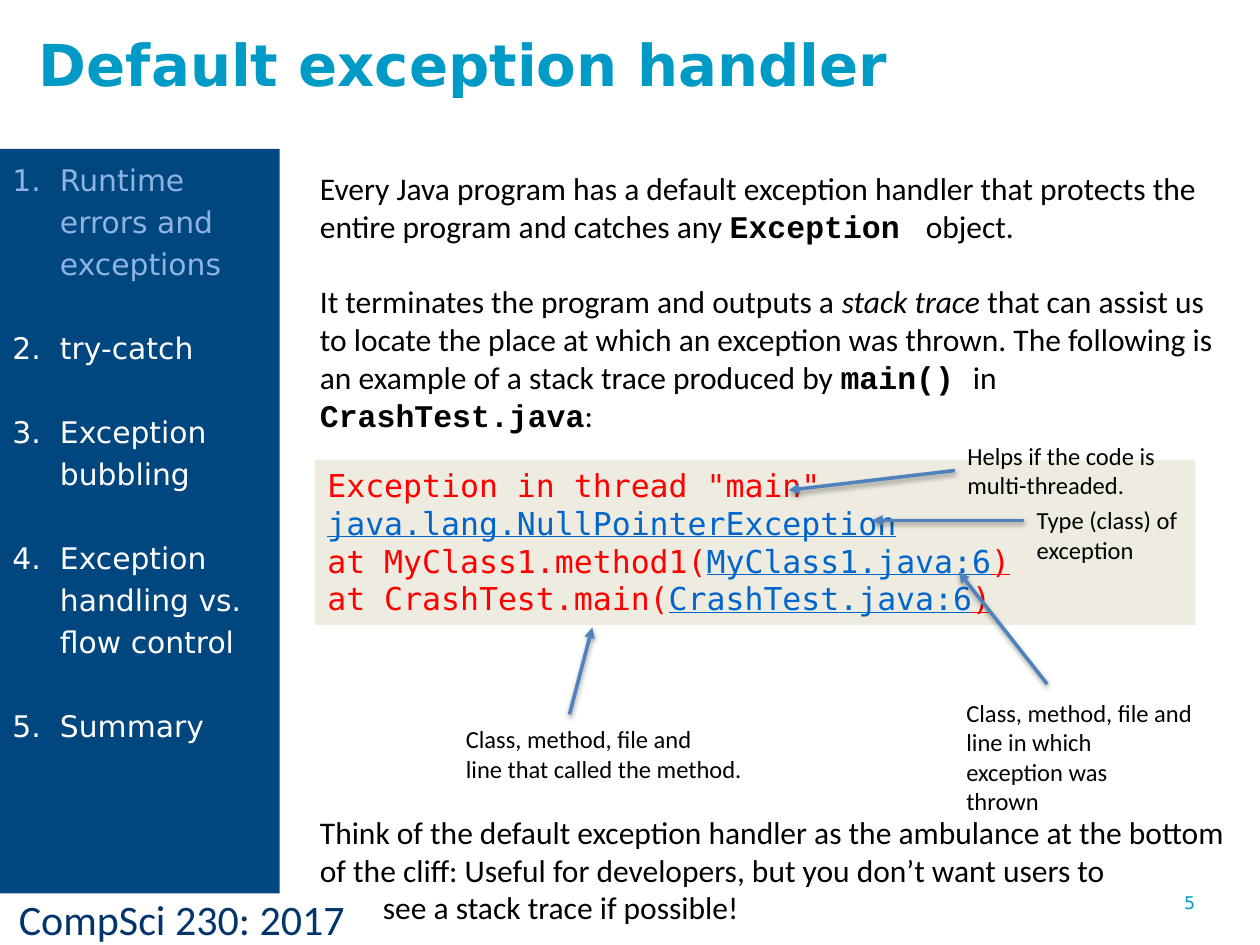
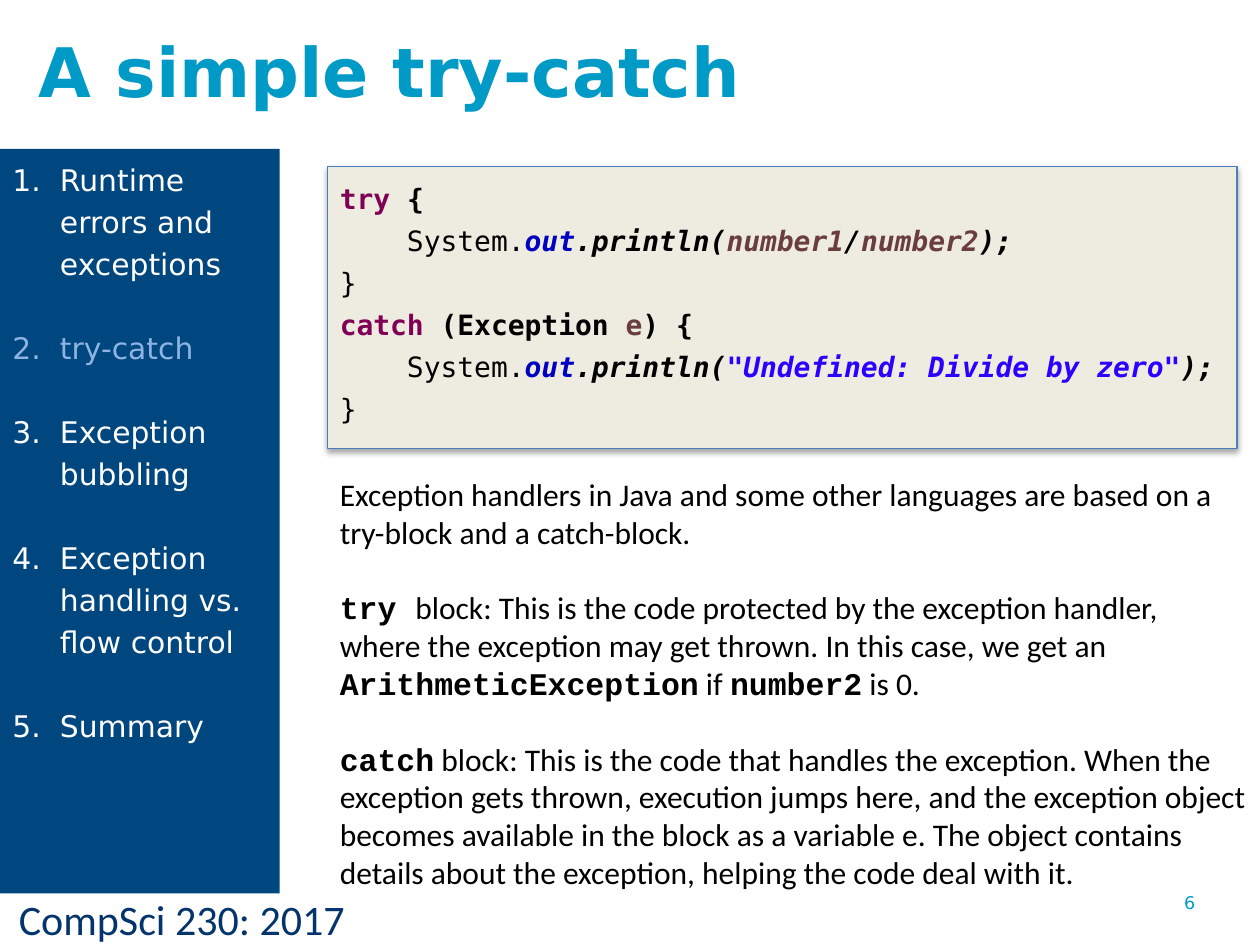
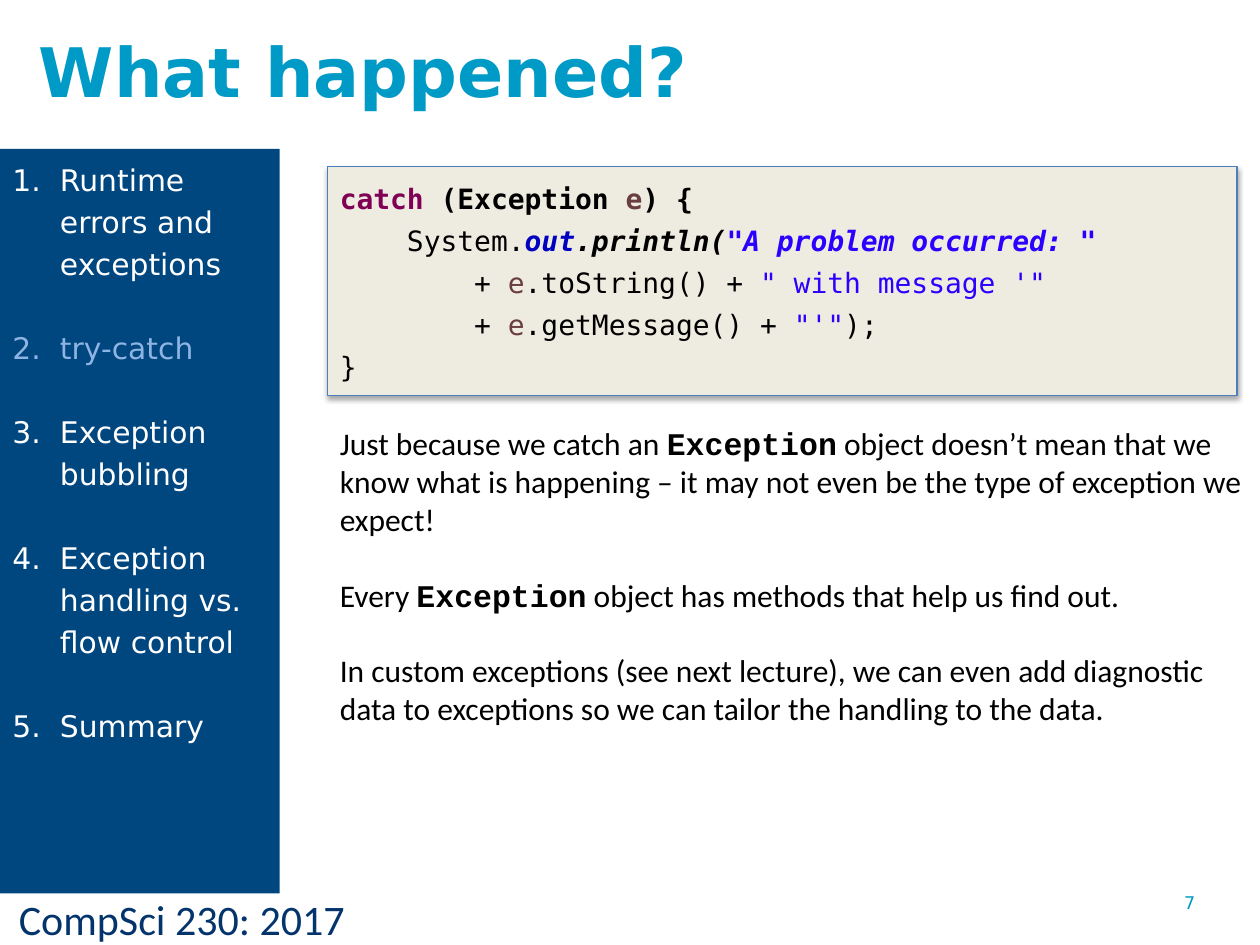
"""Build three lecture slides on Java exception handling."""
import pptx
import pptx.dml.color
import pptx.enum.dml
import pptx.enum.shapes
import pptx.enum.text
import pptx.oxml
import pptx.oxml.ns
import pptx.util
from lxml import etree

Cm = pptx.util.Cm
Pt = pptx.util.Pt

TOPICS = ["Runtime errors and exceptions", "try-catch", "Exception bubbling",
          "Exception handling vs. flow control", "Summary"]
FOOTER = "CompSci 230: 2017"
FIRST_NUMBER = 5

BLUE, NAVY, SKY, CREAM = "009AC7", "00467F", "8EB4E3", "EEECE1"
ARROW_BLUE, CODE_EDGE = "4F81BD", "4B7EBC"
CODE_FONT = "DejaVu Sans Mono"


def text_style(name, size, color, **values):
    return {"name": name, "size": Pt(size), "color": color, **values}


def code_style(color, **values):
    return text_style(CODE_FONT, 16, color, **values)


STYLES = {
    "title": text_style("DejaVu Sans", 39, BLUE, bold=True),
    "long title": text_style("DejaVu Sans", 33, BLUE, bold=True),
    "topic": text_style("DejaVu Sans", 17, "FFFFFF"),
    "current topic": text_style("DejaVu Sans", 17, SKY),
    "footer": text_style("Calibri", 24, "04346C"),
    "number": text_style("DejaVu Sans", 10, BLUE),
    "body": text_style("Calibri", 18, "000000"),
    "italic": text_style("Calibri", 18, "000000", italic=True),
    "term": text_style("Courier New", 18, "000000", bold=True),
    "label": text_style("Calibri", 14, "000000"),
    "error": text_style(CODE_FONT, 18, "FF0000"),
    "error end": text_style(CODE_FONT, 18, "FF0000", underline=True),
    "location": text_style(CODE_FONT, 18, "0066CC", underline=True),
    "code": code_style("000000"),
    "variable": code_style("6A3E3E"),
    "string": code_style("2A00FF"),
    "keyword": code_style("7F0055", bold=True),
    "bold code": code_style("000000", bold=True),
    "bold variable": code_style("6A3E3E", bold=True),
    "field": code_style("0000C0", bold=True, italic=True),
    "call": code_style("000000", bold=True, italic=True),
    "call variable": code_style("6A3E3E", bold=True, italic=True),
    "call string": code_style("2A00FF", bold=True, italic=True),
}

PRINT = [("code", "    System."), ("field", "out"), ("call", ".println(")]
CATCH = [("keyword", "catch"), ("bold code", " (Exception "),
         ("bold variable", "e"), ("bold code", ") {")]
CLOSE = [("code", "}")]

SLIDES = [
    {
        "title": ("long title", "Default exception handler"),
        "topic": 0,
        "body_at": (6.2, 3.28, 18.77, 7),
        "body": [
            [("body", "Every Java program has a default exception handler that protects "
                      "the entire program and catches any "),
             ("term", "Exception "), ("body", " object.")],
            [("body", "It terminates the program and outputs a "), ("italic", "stack trace "),
             ("body", "that can assist us to locate the place at which an exception was "
                      "thrown. The following is an example of a stack trace produced by "),
             ("term", "main() "), ("body", "in "), ("term", "CrashTest.java"), ("body", ":")],
        ],
        "trace_at": (6.35, 9.27, 17.75, 3.33),
        "trace": [
            [("error", "Exception in thread \"main\" "),
             ("location", "java.lang.NullPointerException")],
            [("error", "at MyClass1.method1("), ("location", "MyClass1.java:6"),
             ("error end", ")")],
            [("error", "at CrashTest.main("), ("location", "CrashTest.java:6"),
             ("error end", ")")],
        ],
        "labels": [
            ("Helps if the code is \nmulti-threaded.", (19.25, 8.76, 4.45, 1.45),
             None, (15.9, 9.88)),
            ("Type (class) of \nexception", (20.65, 10.06, 3.48, 1.45),
             (20.65, 10.49), (17.58, 10.49)),
            ("Class, method, file and\nline in which \nexception was \nthrown",
             (19.23, 13.94, 5.11, 2.64), (21.11, 13.79), (19.33, 11.53)),
            ("Class, method, file and\nline that called the method.",
             (9.14, 14.48, 6.15, 1.45), (11.48, 14.4), (11.94, 12.65)),
        ],
        "closing_at": (6.2, 16.26, 18.77, 2.6),
        "closing": [[("body", "Think of the default exception handler as the ambulance at the "
                              "bottom of the cliff: Useful for developers, but you don’t want "
                              "users to\n\tsee a stack trace if possible!")]],
    },
    {
        "title": ("title", "A simple try-catch"),
        "topic": 1,
        "code_height": 5.69,
        "code": [
            [("keyword", "try "), ("bold code", "{")],
            PRINT + [("call variable", "number1"), ("call", "/"),
                     ("call variable", "number2"), ("call", ");")],
            CLOSE,
            CATCH,
            PRINT + [("call string", "\"Undefined: Divide by zero\""), ("call", ");")],
            CLOSE,
        ],
        "body_at": (6.6, 9.45, 18.77, 9.5),
        "body": [
            [("body", "Exception handlers in Java and some other languages are based on a "
                      "try-block and a catch-block.")],
            [("term", "try "),
             ("body", "block: This is the code protected by the exception handler, where the "
                      "exception may get thrown. In this case, we get an "),
             ("term", "ArithmeticException"), ("body", " if "), ("term", "number2"),
             ("body", " is 0.")],
            [("term", "catch"),
             ("body", " block: This is the code that handles the exception. When the exception "
                      "gets thrown, execution jumps here, and the exception object becomes "
                      "available in the block as a variable e. The object contains details "
                      "about the exception, helping the code deal with it.")],
        ],
    },
    {
        "title": ("title", "What happened?"),
        "topic": 1,
        "code_height": 4.62,
        "code": [
            CATCH,
            PRINT + [("call string", "\"A problem occurred: \"")],
            [("code", "        + "), ("variable", "e"), ("code", ".toString() + "),
             ("string", "\" with message '\"")],
            [("code", "        + "), ("variable", "e"), ("code", ".getMessage() + "),
             ("string", "\"'\""), ("code", ");")],
            CLOSE,
        ],
        "body_at": (6.6, 8.43, 18.77, 6.4),
        "body": [
            [("body", "Just because we catch an "), ("term", "Exception"),
             ("body", " object doesn’t mean that we know what is happening – it may not even "
                      "be the type of exception we expect!")],
            [("body", "Every "), ("term", "Exception"),
             ("body", " object has methods that help us find out.")],
            [("body", "In custom exceptions (see next lecture), we can even add diagnostic "
                      "data to exceptions so we can tailor the handling to the data.")],
        ],
    },
]


def rgb(color):
    return pptx.dml.color.RGBColor.from_string(color)


def lengths(values):
    return [Cm(value) for value in values]


def set_values(target, values):
    for name, value in values.items():
        setattr(target, name, value)


def add_run(paragraph, style, text):
    values = dict(STYLES[style])
    color = values.pop("color")
    for index, line in enumerate(text.split("\n")):
        if index:
            paragraph.add_line_break()
        run = paragraph.add_run()
        run.text = line
        set_values(run.font, values)
        run.font.color.rgb = rgb(color)


def write(shape, paragraphs, wrap=True, **paragraph_format):
    frame = shape.text_frame
    sizes = pptx.enum.text.MSO_AUTO_SIZE
    set_values(frame, {"word_wrap": wrap,
                       "auto_size": sizes.NONE if wrap else sizes.SHAPE_TO_FIT_TEXT,
                       "vertical_anchor": pptx.enum.text.MSO_ANCHOR.TOP})
    for index, runs in enumerate(paragraphs):
        paragraph = frame.add_paragraph() if index else frame.paragraphs[0]
        set_values(paragraph, {"alignment": pptx.enum.text.PP_ALIGN.LEFT, **paragraph_format})
        for style, text in runs:
            add_run(paragraph, style, text)


def add_text(slide, place, paragraphs, wrap=True, **paragraph_format):
    shape = slide.shapes.add_textbox(*lengths(place))
    write(shape, paragraphs, wrap, **paragraph_format)
    return shape


def add_panel(slide, place, color, paragraphs, edge=None, **paragraph_format):
    shape = slide.shapes.add_shape(pptx.enum.shapes.MSO_SHAPE.RECTANGLE, *lengths(place))
    shape.fill.solid()
    shape.fill.fore_color.rgb = rgb(color)
    if edge:
        shape.line.color.rgb = rgb(edge)
        shape.line.width = Pt(0.75)
        add_shadow(shape, 35, 1.8)
    else:
        shape.line.fill.background()
        shape.shadow.inherit = False
    write(shape, paragraphs, **paragraph_format)
    return shape


def add_shadow(shape, opacity, distance):
    effects = pptx.oxml.parse_xml(
        f'<a:effectLst {pptx.oxml.ns.nsdecls("a")}>'
        f'<a:outerShdw blurRad="{Pt(3.1)}" dist="{Pt(distance)}" dir="5400000" rotWithShape="0">'
        f'<a:srgbClr val="000000"><a:alpha val="{opacity * 1000}"/></a:srgbClr>'
        '</a:outerShdw></a:effectLst>')
    shape.element.spPr.append(effects)


def add_label(slide, text, place, start, target):
    label = add_text(slide, place, [[("label", text)]], wrap=False)
    arrow = slide.shapes.add_connector(pptx.enum.shapes.MSO_CONNECTOR.STRAIGHT,
                                       *lengths((start or place[:2]) + target))
    if start is None:
        arrow.begin_connect(label, 1)
    arrow.line.color.rgb = rgb(ARROW_BLUE)
    arrow.line.width = Pt(2)
    etree.SubElement(arrow.line._get_or_add_ln(), pptx.oxml.ns.qn("a:tailEnd"), type="triangle")
    add_shadow(arrow, 38, 1.6)


def add_sidebar(slide, current):
    topics = [[("current topic" if index == current else "topic", topic)]
              for index, topic in enumerate(TOPICS)]
    sidebar = add_panel(slide, (0, 3, 5.64, 15.01), NAVY, topics,
                        line_spacing=Pt(24), space_after=Pt(24))
    for paragraph in sidebar.text_frame.paragraphs:
        properties = paragraph._p.get_or_add_pPr()
        properties.set("marL", str(Cm(0.96)))
        properties.set("indent", str(-Cm(0.96)))
        etree.SubElement(properties, pptx.oxml.ns.qn("a:buAutoNum"), type="arabicPeriod")


def add_title(slide, title):
    left, top, width, height = lengths((0.53, 0.46, 18.11, 1.98))
    set_values(slide.shapes.title, {"left": left, "top": top, "width": width, "height": height})
    write(slide.shapes.title, [[title]])


def add_slide(presentation, number, content):
    slide = presentation.slides.add_slide(presentation.slide_layouts[5])
    add_title(slide, content["title"])
    add_text(slide, (0.13, 17.88, 10.29, 1.17), [[("footer", FOOTER)]])
    add_text(slide, (23.62, 17.86, 1.78, 1.19), [[("number", str(number))]])
    add_text(slide, content["body_at"], content["body"], space_after=Pt(21.6))
    if "code" in content:
        add_panel(slide, (6.6, 3.36, 18.34, content["code_height"]), CREAM, content["code"],
                  edge=CODE_EDGE, line_spacing=Pt(24))
    if "trace" in content:
        add_panel(slide, content["trace_at"], CREAM, content["trace"])
        add_text(slide, content["closing_at"], content["closing"])
    for label in content.get("labels", []):
        add_label(slide, *label)
    add_sidebar(slide, content["topic"])


def main():
    presentation = pptx.Presentation()
    presentation.slide_width, presentation.slide_height = lengths((25.4, 19.05))
    for number, content in enumerate(SLIDES, FIRST_NUMBER):
        add_slide(presentation, number, content)
    presentation.save("out.pptx")


if __name__ == "__main__":
    main()
